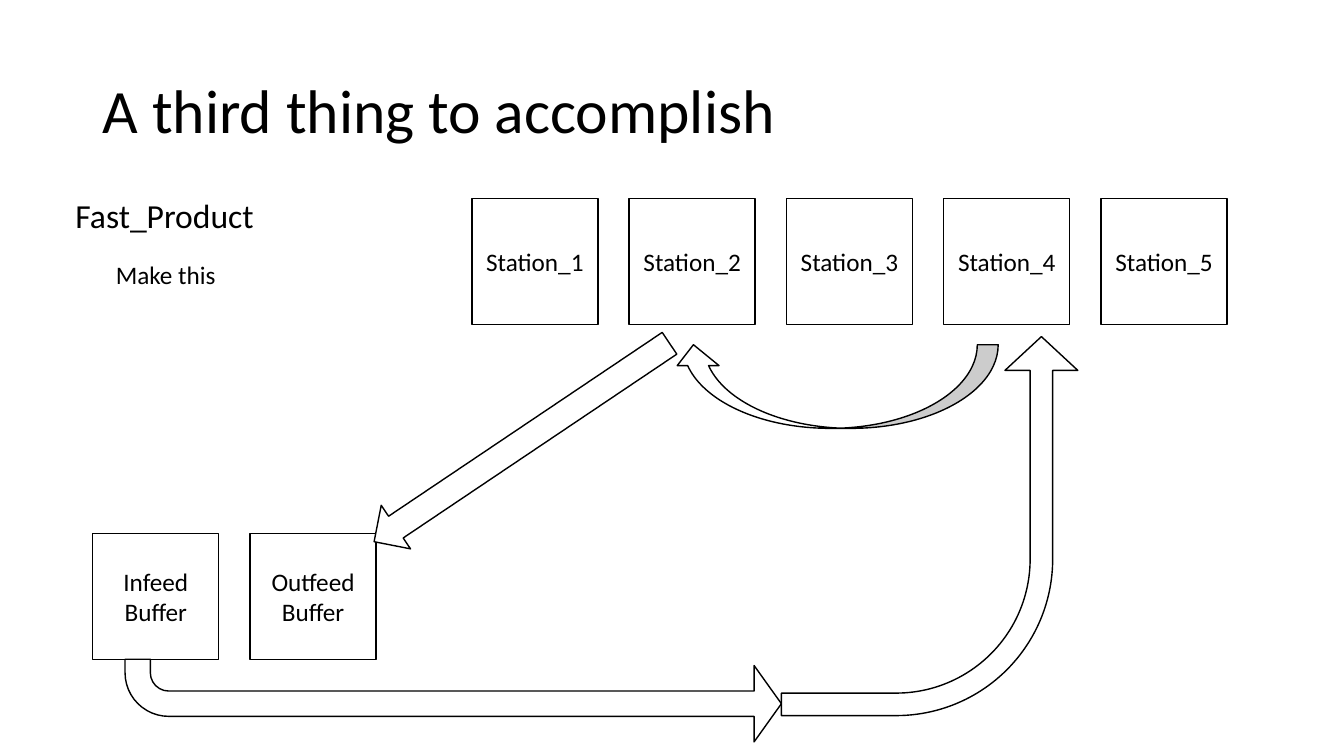
from pptx import Presentation
from pptx import util as u
from pptx.dml.color import RGBColor
from pptx.enum import shapes, text

PX = 9144
BOX, PITCH = 125, 156
SHAPE = shapes.MSO_SHAPE


def px(n):
    """Turn px into EMU, at 100 px to the inch."""
    return u.Emu(round(n * PX))


def rgb(hex_string):
    """Turn a hex string into a colour."""
    return RGBColor.from_string(hex_string)


def style(p, size):
    """Set the font of a whole paragraph."""
    p.font.size, p.font.name = u.Pt(size), "Calibri"
    p.font.color.rgb = rgb("000000")


def label(slide, box, words, size, wrap=True):
    """Add a line of text and return its frame."""
    tf = slide.shapes.add_textbox(*map(px, box)).text_frame
    tf.word_wrap = wrap
    p = tf.paragraphs[0]
    p.text = words
    style(p, size)
    return tf


def outlined(slide, kind, box, rotation=0, flip=False, adjust=()):
    """Add a white shape with a thin black outline."""
    s = slide.shapes.add_shape(kind, *map(px, box))
    s.shadow.inherit = False
    s.fill.solid()
    s.fill.fore_color.rgb = rgb("FFFFFF")
    s.line.color.rgb = rgb("000000")
    s.line.width = u.Pt(1)
    s.rotation = rotation
    if flip:
        s._element.spPr.xfrm.set("flipV", "1")
    for i, value in enumerate(adjust):
        s.adjustments[i] = value
    return s


def box_row(slide, left, top, names):
    """Place a row of equally spaced, named square boxes."""
    for i, name in enumerate(names):
        s = outlined(slide, SHAPE.RECTANGLE, (left + i * PITCH, top, BOX, BOX))
        tf = s.text_frame
        tf.word_wrap = True
        tf.vertical_anchor = text.MSO_ANCHOR.MIDDLE
        p = tf.paragraphs[0]
        p.text = name
        p.alignment = text.PP_ALIGN.CENTER
        style(p, 18)


def title(slide, box):
    """Place the slide title."""
    tf = label(slide, box, "A third thing to accomplish", 44)
    tf.vertical_anchor = text.MSO_ANCHOR.MIDDLE
    tf.paragraphs[0].line_spacing = 0.9


def product(slide, left, top):
    """Place the product name and the instruction under it."""
    label(slide, (left, top, 243, 50), "Fast_Product", 24)
    label(slide, (left + 40, top + 64, 120, 40), "Make this", 18, wrap=False)


def route(slide, left, top):
    """Place the arrows from infeed through the stations to outfeed."""
    outlined(slide, SHAPE.RIGHT_ARROW, (left + 217, top + 191, 353, 52), 146.1)
    outlined(slide, SHAPE.BENT_ARROW, (left, top + 432, 651, 82), flip=True,
             adjust=(0.306, 0.462, 0.33, 0.528))
    outlined(slide, SHAPE.CURVED_LEFT_ARROW, (left + 663, top, 83, 323), 90)
    outlined(slide, SHAPE.BENT_ARROW, (left + 610, top + 153, 376, 294), 270,
             flip=True, adjust=(0.076, 0.123, 0.114, 0.528))


def main():
    """Build and save the slide."""
    prs = Presentation()
    prs.slide_width, prs.slide_height = px(1333), px(750)
    slide = prs.slides.add_slide(prs.slide_layouts[6])
    title(slide, (92, 40, 1150, 145))
    box_row(slide, 468, 197, [f"Station_{n}" for n in range(1, 6)])
    box_row(slide, 92, 529, ["Infeed Buffer", "Outfeed Buffer"])
    product(slide, 65, 188)
    route(slide, 124, 222)
    prs.save("out.pptx")


if __name__ == "__main__":
    main()
